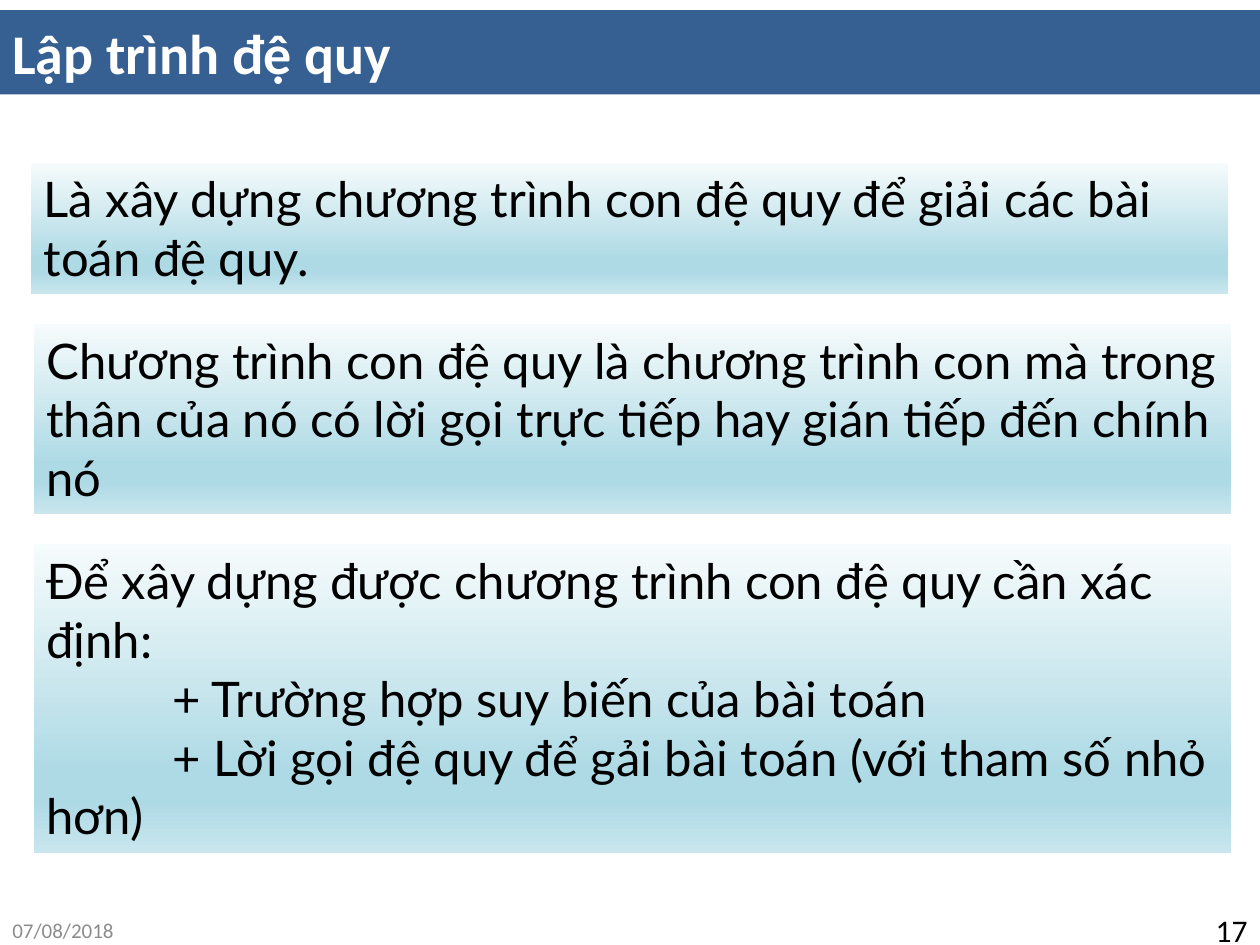
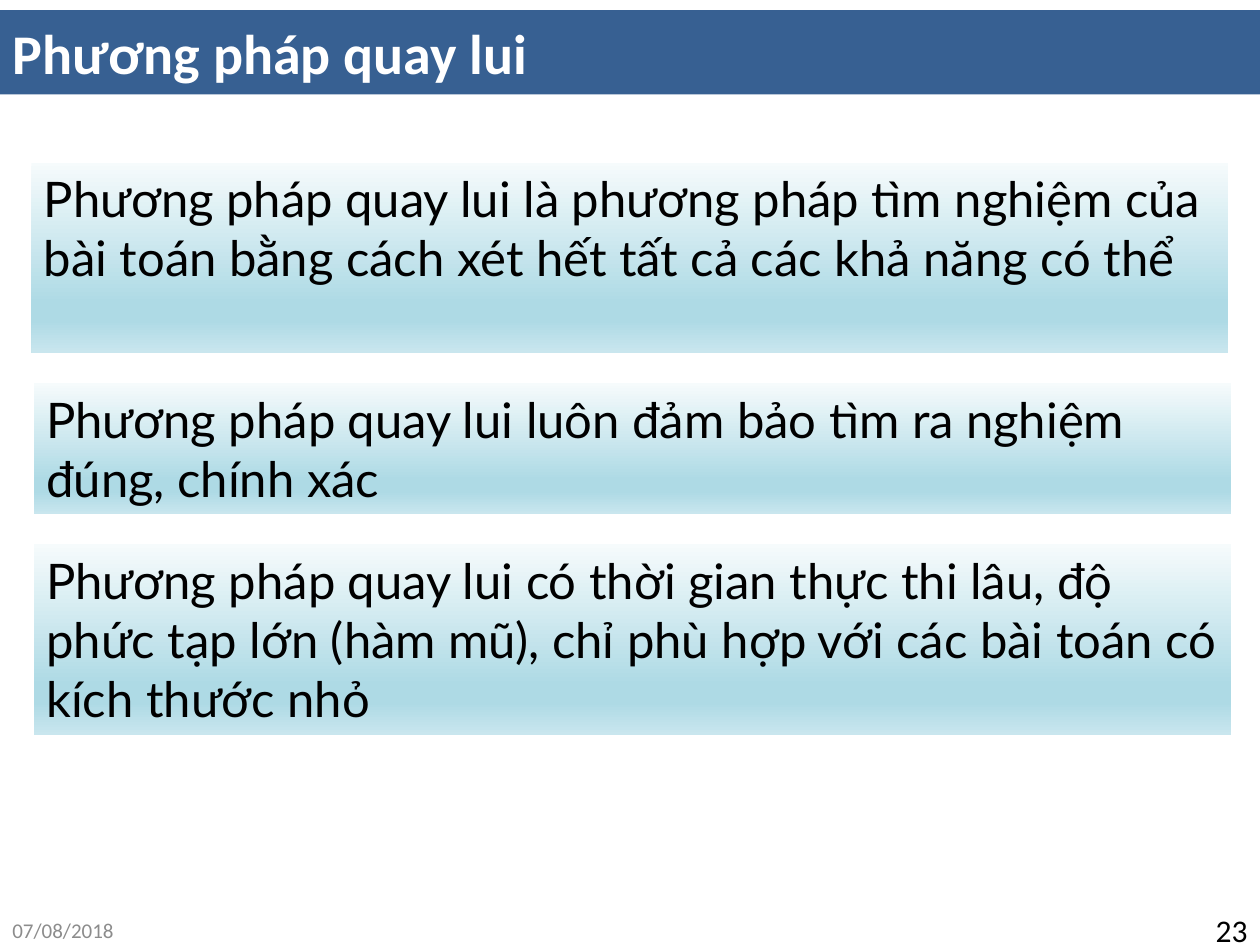
from lxml.etree import SubElement
from pptx import Presentation
from pptx.dml.color import RGBColor
from pptx.enum.shapes import MSO_SHAPE
from pptx.enum.text import MSO_ANCHOR, MSO_AUTO_SIZE, PP_ALIGN
from pptx.oxml.ns import qn
from pptx.util import Inches, Pt

WHITE = RGBColor(0xFF, 0xFF, 0xFF)
BLACK = RGBColor(0x00, 0x00, 0x00)
GREY = RGBColor(0x8C, 0x8C, 0x8C)
BAND_BLUE = RGBColor(0x37, 0x60, 0x92)
PALE = RGBColor(0xF6, 0xFB, 0xFC)
AQUA = RGBColor(0xAE, 0xDA, 0xE5)
LIGHT_AQUA = RGBColor(0xC9, 0xE6, 0xEE)
GRADIENT_STOPS = [(0, PALE), (74, AQUA), (83, AQUA), (100, LIGHT_AQUA)]

TITLE_FONT = {"name": "Calibri", "size": Pt(32), "bold": True}
BODY_FONT = {"name": "Lato", "size": Pt(28)}
DATE_FONT = {"name": "Calibri", "size": Pt(12)}
NUMBER_FONT = {"name": "Calibri", "size": Pt(18)}

DATE = "07/08/2018"
FIRST_TOP = 1.29
BOX_GAP = 0.24
BOX_WIDTH = 9.5
BOX_LEFTS = [0.25, 0.27, 0.27]
LINE_HEIGHT = 0.47
BOX_PADDING = 0.1

SLIDES = [
    {
        "title": "Lập trình đệ quy",
        "number": "17",
        "boxes": [
            (2, ["Là xây dựng chương trình con đệ quy để giải các bài toán đệ quy."]),
            (3, ["Chương trình con đệ quy là chương trình con mà trong thân của nó "
                 "có lời gọi trực tiếp hay gián tiếp đến chính nó"]),
            (5, ["Để xây dựng được chương trình con đệ quy cần xác định:",
                 "+ Trường hợp suy biến của bài toán",
                 "+ Lời gọi đệ quy để gải bài toán (với tham số nhỏ hơn)"]),
        ],
    },
    {
        "title": "Phương pháp quay lui",
        "number": "23",
        "boxes": [
            (3, ["Phương pháp quay lui là phương pháp tìm nghiệm của bài toán "
                 "bằng cách xét hết tất cả các khả năng có thể"]),
            (2, ["Phương pháp quay lui luôn đảm bảo tìm ra nghiệm đúng, chính xác"]),
            (3, ["Phương pháp quay lui có thời gian thực thi lâu, độ phức tạp lớn "
                 "(hàm mũ), chỉ phù hợp với các bài toán có kích thước nhỏ"]),
        ],
    },
]


def write_text(shape, lines, font, color, anchor, align=PP_ALIGN.LEFT):
    frame = shape.text_frame
    frame.word_wrap = True
    frame.auto_size = MSO_AUTO_SIZE.NONE
    frame.vertical_anchor = anchor
    for index, line in enumerate(lines):
        paragraph = frame.add_paragraph() if index else frame.paragraphs[0]
        paragraph.alignment = align
        if line.startswith("+"):
            paragraph._p.get_or_add_pPr().set("indent", str(Inches(1)))
        run = paragraph.add_run()
        run.text = line
        for attribute, value in font.items():
            setattr(run.font, attribute, value)
        run.font.color.rgb = color


def add_rectangle(slide, left, top, width, height):
    shape = slide.shapes.add_shape(
        MSO_SHAPE.RECTANGLE, Inches(left), Inches(top), Inches(width), Inches(height))
    shape.shadow.inherit = False
    shape.line.fill.background()
    return shape


def fill_gradient(shape):
    shape.fill.gradient()
    shape.fill.gradient_angle = 270
    stops = shape._element.spPr.find(qn("a:gradFill")).find(qn("a:gsLst"))
    for stop in list(stops):
        stops.remove(stop)
    for position, color in GRADIENT_STOPS:
        stop = SubElement(stops, qn("a:gs"), pos=str(position * 1000))
        SubElement(stop, qn("a:srgbClr"), val=str(color))


def add_title(slide, title):
    band = add_rectangle(slide, 0, 0.08, 10, 0.67)
    band.fill.solid()
    band.fill.fore_color.rgb = BAND_BLUE
    write_text(band, [title], TITLE_FONT, WHITE, MSO_ANCHOR.MIDDLE)


def add_footer(slide, left, width, text, font, color, align):
    box = slide.shapes.add_textbox(
        Inches(left), Inches(7.18), Inches(width), Inches(0.4))
    write_text(box, [text], font, color, MSO_ANCHOR.MIDDLE, align)


def add_boxes(slide, boxes):
    top = FIRST_TOP
    for left, (line_count, lines) in zip(BOX_LEFTS, boxes):
        height = BOX_PADDING + LINE_HEIGHT * line_count
        box = add_rectangle(slide, left, top, BOX_WIDTH, height)
        fill_gradient(box)
        write_text(box, lines, BODY_FONT, BLACK, MSO_ANCHOR.TOP)
        top += height + BOX_GAP


def main():
    presentation = Presentation()
    presentation.slide_width = Inches(10)
    presentation.slide_height = Inches(7.5)
    for content in SLIDES:
        slide = presentation.slides.add_slide(presentation.slide_layouts[6])
        add_title(slide, content["title"])
        add_footer(slide, 0, 2.33, DATE, DATE_FONT, GREY, PP_ALIGN.LEFT)
        add_footer(slide, 9.51, 0.49, content["number"], NUMBER_FONT, BLACK, PP_ALIGN.RIGHT)
        add_boxes(slide, content["boxes"])
    presentation.save("out.pptx")


main()
